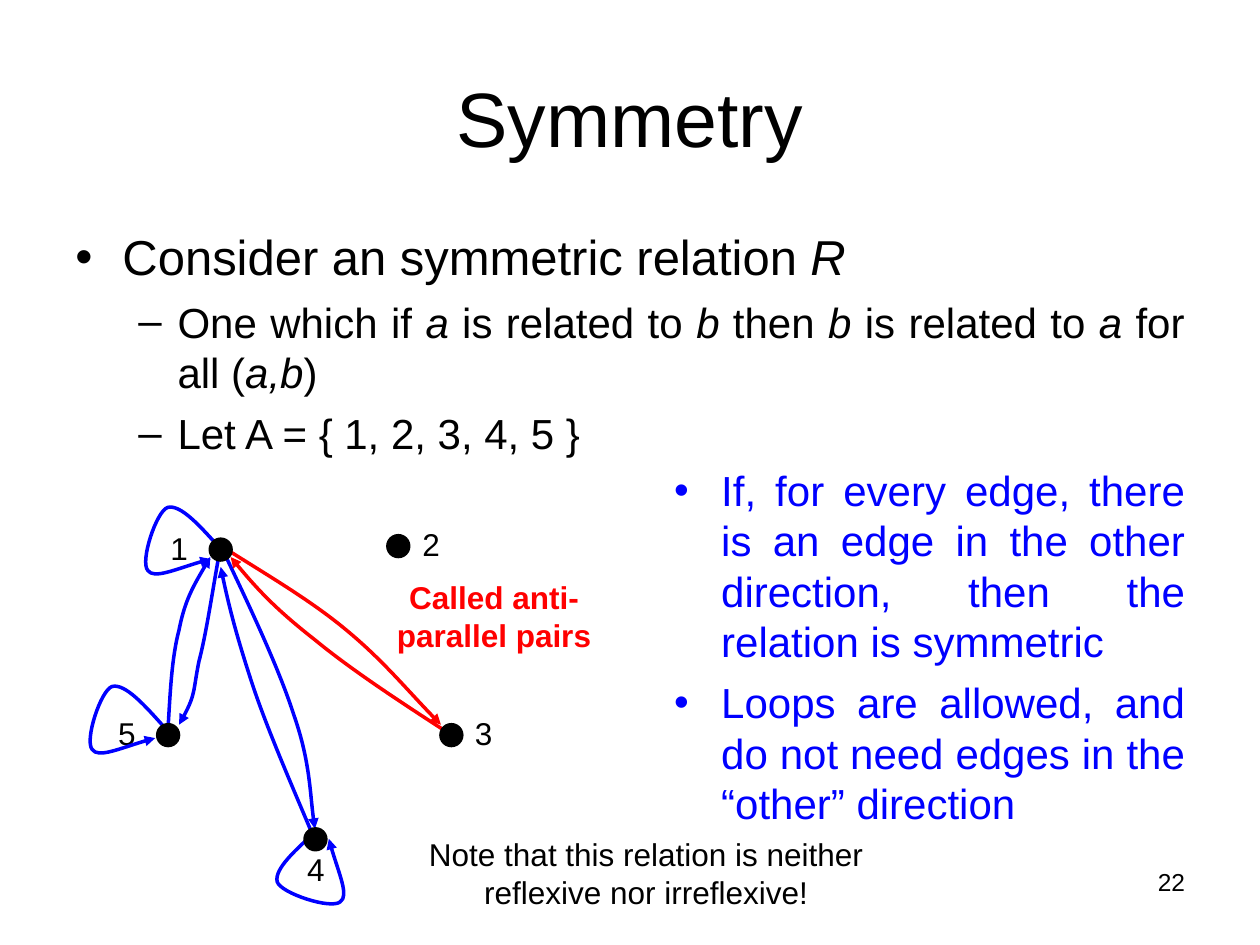
from lxml.etree import SubElement
from pptx import Presentation
from pptx.dml.color import RGBColor
from pptx.enum.shapes import MSO_SHAPE
from pptx.enum.text import MSO_ANCHOR, PP_ALIGN
from pptx.oxml.ns import qn
from pptx.util import Cm, Pt

COLORS = {"ink": "000000", "edge": "0000FF", "pair": "FF0000"}
FONT = "Arial"
NODES = {
    "1": ((2.54, 0.71), (1.48, 0.08)),
    "2": ((6.12, 0.64), (6.56, 0)),
    "3": ((7.19, 4.45), (7.62, 3.81)),
    "4": ((4.45, 6.55), (4.24, 6.55)),
    "5": ((1.48, 4.45), (0.43, 3.81)),
}
EDGES = [
    ("edge", [(2.75, 0.84), (3.33, 2.06), (3.91, 3.28), (4.22, 4.24),
              (4.55, 5.18), (4.55, 5.97), (4.65, 6.55)]),
    ("edge", [(4.65, 6.78), (4.17, 5.64), (3.68, 4.52), (3.38, 3.61),
              (3.08, 2.69), (2.9, 2.01), (2.75, 1.27)]),
    ("edge", [(2.75, 0.84), (2.59, 1.7), (2.47, 2.57), (2.31, 3.18),
              (2.19, 3.78), (2.26, 3.84), (1.91, 4.45)]),
    ("edge", [(1.68, 4.65), (1.73, 3.89), (1.75, 3.15), (1.91, 2.54),
              (2.03, 1.93), (2.26, 1.55), (2.54, 1.07)]),
    ("pair", [(7.39, 4.65), (6.4, 4.01), (5.39, 3.35), (4.65, 2.74),
              (3.91, 2.16), (3.46, 1.7), (2.95, 1.07)]),
    ("pair", [(2.75, 0.84), (3.63, 1.4), (4.55, 1.93), (5.28, 2.54),
              (6.02, 3.15), (6.58, 3.84), (7.19, 4.45)]),
]
LOOP = [(0, 0), (-0.41, -0.46), (-0.81, -0.91), (-1.07, -0.84), (-1.3, -0.76),
        (-1.63, 0.25), (-1.47, 0.43), (-1.35, 0.61), (-0.81, 0.36), (-0.2, 0.2)]
SIDE_LOOPS = [(2.75, 0.91), (1.63, 4.52)]
BOTTOM_LOOP = (4.73, 6.55)


def color(name):
    """Return the named colour."""
    return RGBColor.from_string(COLORS[name])


def add_spans(para, text, size, ink="ink", bold=False):
    """Add runs to a paragraph, with the parts between asterisks in italics."""
    for index, part in enumerate(text.split("*")):
        if part:
            span = para.add_run()
            span.text = part
            span.font.name, span.font.size = FONT, Pt(size)
            span.font.bold, span.font.italic = bold, index % 2 == 1
            span.font.color.rgb = color(ink)


def add_text(page, box, lines, size, align=PP_ALIGN.CENTER, ink="ink",
             bold=False, wrap=True, spacing=None):
    """Add a text box with one paragraph for each line."""
    frame = page.shapes.add_textbox(*map(Cm, box)).text_frame
    frame.word_wrap = wrap
    for index, line in enumerate(lines):
        para = frame.paragraphs[0] if index == 0 else frame.add_paragraph()
        para.alignment, para.line_spacing = align, spacing
        add_spans(para, line, size, ink, bold)


def add_title(page, box, text):
    """Place and format the title placeholder."""
    title = page.shapes.title
    title.left, title.top, title.width, title.height = map(Cm, box)
    frame = title.text_frame
    frame.vertical_anchor = MSO_ANCHOR.MIDDLE
    frame.paragraphs[0].alignment = PP_ALIGN.CENTER
    add_spans(frame.paragraphs[0], text, 44)


def add_bullets(page, box, items, ink="ink"):
    """Add a justified list of (level, size, space before, text) items."""
    frame = page.shapes.add_textbox(*map(Cm, box)).text_frame
    frame.word_wrap = True
    for index, (level, size, space, text) in enumerate(items):
        para = frame.paragraphs[0] if index == 0 else frame.add_paragraph()
        para.level, para.alignment = level, PP_ALIGN.JUSTIFY
        para.space_before = Pt(space)
        margin, hanging, mark = [(0.95, 0.95, "•"), (2.06, 0.79, "–")][level]
        props = para._p.get_or_add_pPr()
        props.set("marL", str(Cm(margin)))
        props.set("indent", str(-Cm(hanging)))
        tint = SubElement(props, qn("a:buClr"))
        SubElement(tint, qn("a:srgbClr"), val=COLORS[ink])
        SubElement(props, qn("a:buFont"), typeface=FONT)
        SubElement(props, qn("a:buChar"), char=mark)
        add_spans(para, text, size, ink)


def add_curve(page, origin, points, ink):
    """Draw a Bézier arrow through a start point and triples of points."""
    spots = [(Cm(origin[0] + x), Cm(origin[1] + y)) for x, y in points]
    builder = page.shapes.build_freeform(*spots[0])
    builder.add_line_segments(spots[1:], close=False)
    curve = builder.convert_to_shape()
    curve.shadow.inherit = False
    curve.fill.background()
    curve.line.color.rgb = color(ink)
    curve.line.width = Pt(2)
    SubElement(curve.line._get_or_add_ln(), qn("a:tailEnd"), type="triangle")
    outline = next(curve._element.iter(qn("a:path")))
    steps = outline.findall(qn("a:lnTo"))
    for start in range(0, len(steps), 3):
        bend = SubElement(outline, qn("a:cubicBezTo"))
        for step in steps[start:start + 3]:
            bend.append(step[0])
            outline.remove(step)


def add_node(page, left, top):
    """Draw a graph node as a black dot."""
    dot = page.shapes.add_shape(
        MSO_SHAPE.OVAL, Cm(left), Cm(top), Cm(0.42), Cm(0.42))
    dot.shadow.inherit = False
    dot.fill.solid()
    dot.fill.fore_color.rgb = color("ink")
    dot.line.color.rgb = color("ink")
    dot.line.width = Pt(2)


def add_graph(page, box):
    """Draw the labelled directed graph inside a box."""
    left, top = box[:2]
    for name, (_, (x, y)) in NODES.items():
        add_text(page, (left + x, top + y, 0.86, 1.32), [name], 18,
                 wrap=False, spacing=1.4)
    for x, y in SIDE_LOOPS:
        add_curve(page, (left + x, top + y), LOOP, "edge")
    x, y = BOTTOM_LOOP
    turned = [(down, -across) for across, down in LOOP]
    add_curve(page, (left + x, top + y), turned, "edge")
    for ink, points in EDGES:
        add_curve(page, (left, top), points, ink)
    add_text(page, (left + 6.05, top + 1.37, 4.42, 1.78),
             ["Called anti-", "parallel pairs"], 18, ink="pair", bold=True,
             wrap=False)
    for (x, y), _ in NODES.values():
        add_node(page, left + x, top + y)


def main():
    """Build and save the slide."""
    deck = Presentation()
    deck.slide_width, deck.slide_height = Cm(25.4), Cm(19.05)
    page = deck.slides.add_slide(deck.slide_layouts[5])
    add_title(page, (1.27, 0.76, 22.86, 3.18), "Symmetry")
    add_bullets(page, (1.27, 4.45, 22.86, 13.54), [
        (0, 28, 7, "Consider an symmetric relation *R*"),
        (1, 24, 6, "One which if *a* is related to *b* then *b* is related "
                   "to *a* for all (*a,b*)"),
        (1, 24, 6, "Let A = { 1, 2, 3, 4, 5 }"),
    ])
    add_bullets(page, (13.34, 9.24, 10.8, 8.97), [
        (0, 24, 6, "If, for every edge, there is an edge in the other "
                   "direction, then the relation is symmetric"),
        (0, 24, 6, "Loops are allowed, and do not need edges in the "
                   "“other” direction"),
    ], "edge")
    add_graph(page, (1.7, 10.16, 10.47, 8.13))
    add_text(page, (8.26, 16.71, 9.53, 1.78),
             ["Note that this relation is neither reflexive nor irreflexive!"],
             18)
    add_text(page, (18.21, 17.35, 5.93, 1.32), ["22"], 14, PP_ALIGN.RIGHT)
    deck.save("out.pptx")


if __name__ == "__main__":
    main()
